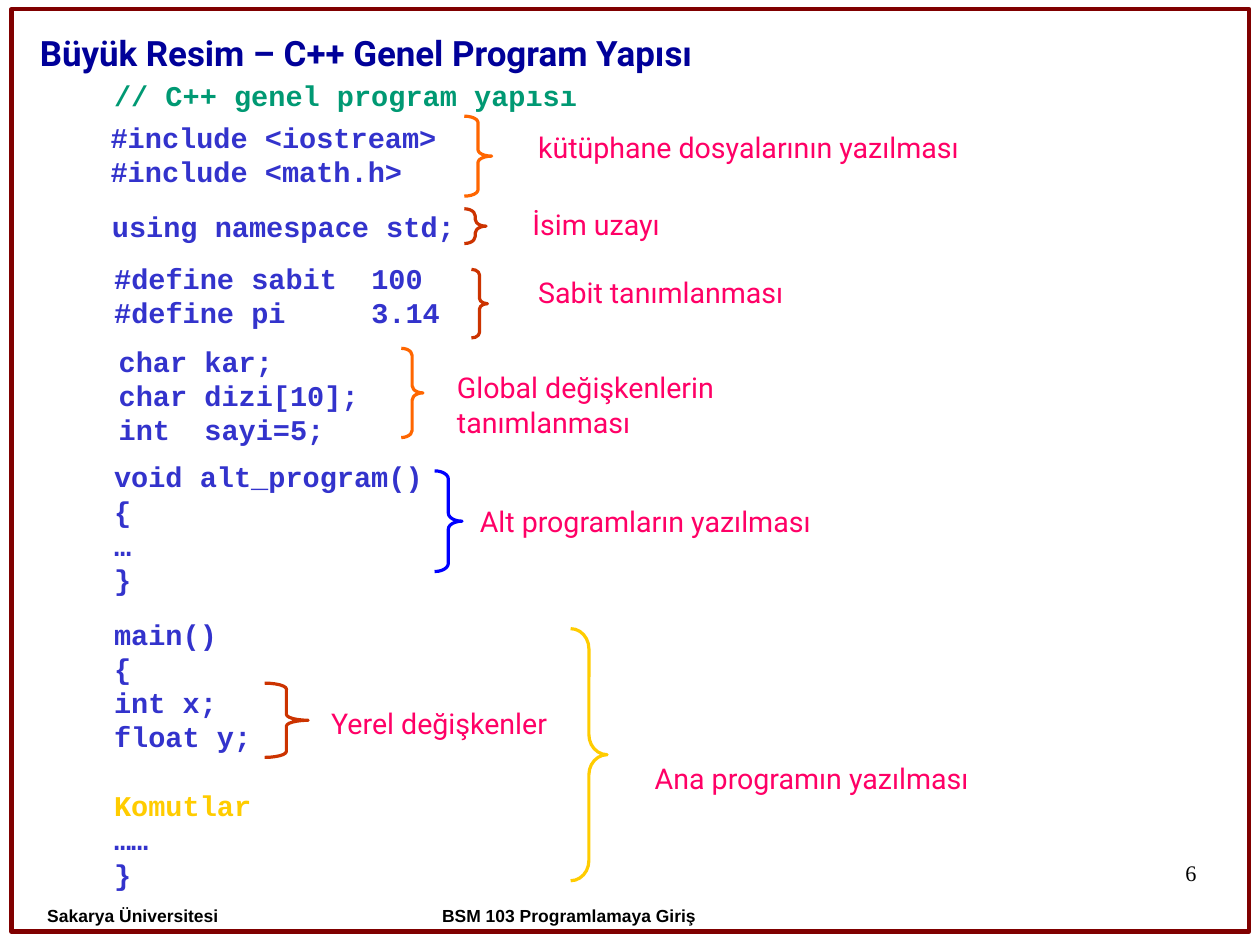
from pptx import Presentation
from pptx import util as u
from pptx.dml.color import RGBColor
from pptx.enum import shapes, text

COLORS = {
    "frame": "800000", "title": "000099", "black": "000000", "code": "3333CC",
    "comment": "009973", "label": "FF0066", "orange": "FF6600",
    "red": "CC3300", "blue": "0000FF", "yellow": "FFCC00",
}
LINE_PITCH = 21.6

# left, top, width, code
CODE_BLOCKS = [
    (62.6, 72, 229.7, "#include <iostream>\n#include <math.h>"),
    (63.4, 128.2, 251.3, "using namespace std;"),
    (64.8, 160.6, 251.3, "#define sabit  100\n#define pi     3.14"),
    (67.7, 213, 180, "char kar;\nchar dizi[10];\nint  sayi=5;"),
    (64.8, 285.8, 216, "void alt_program()\n{\n…\n}"),
]

# left, top, width, height, label
LABELS = [
    (331.9, 78.5, 385.9, 28.8, "kütüphane dosyalarının yazılması"),
    (328.3, 126.7, 244.8, 28.8, "İsim uzayı"),
    (331.9, 169.9, 244.8, 28.8, "Sabit tanımlanması"),
    (280.8, 229.7, 288.7, 50.4, "Global değişkenlerin tanımlanması"),
    (295.2, 313.9, 254.9, 28.8, "Alt programların yazılması"),
    (201.6, 441.4, 155.5, 50.4, "Yerel değişkenler"),
    (405.4, 475.7, 254.9, 28.8, "Ana programın yazılması"),
]

# left, top, width, height, colour, curl as a share of the height
BRACES = [
    (292.5, 73.2, 17.3, 50.4, "orange", 0.08),
    (292.5, 131.5, 13.7, 21.9, "red", 0.2),
    (297, 169.7, 10.1, 43.2, "red", 0.08),
    (252.8, 219.4, 13.7, 56.2, "orange", 0.08),
    (273.8, 296.6, 17.3, 63.4, "blue", 0.08),
    (166.7, 430.3, 27.4, 46.8, "red", 0.08),
    (359.5, 396, 23, 158.8, "yellow", 0.08),
]


def rgb(color):
    return RGBColor.from_string(COLORS[color])


def add_text(slide, box, content, font, size, color, bold=False,
             align=text.PP_ALIGN.LEFT, spacing=1.0, insets=(7.2, 3.6),
             anchor=text.MSO_ANCHOR.TOP):
    """Add a text box with one paragraph per line and return its paragraphs."""
    frame = slide.shapes.add_textbox(*map(u.Pt, box)).text_frame
    frame.word_wrap = True
    frame.vertical_anchor = anchor
    frame.margin_left = frame.margin_right = u.Pt(insets[0])
    frame.margin_top = frame.margin_bottom = u.Pt(insets[1])
    frame.text = content
    for paragraph in frame.paragraphs:
        paragraph.alignment = align
        paragraph.line_spacing = spacing
        for run in paragraph.runs:
            run.font.name = font
            run.font.size = u.Pt(size)
            run.font.bold = bold
            run.font.color.rgb = rgb(color)
    return frame.paragraphs


def add_code(slide, left, top, width, content, color="code", blank_lines=0):
    """Add code in a box as high as its lines and the blank lines it will hold."""
    lines = content.count("\n") + 1 + blank_lines
    box = (left, top, width, lines * LINE_PITCH + 7.2)
    return add_text(slide, box, content, "Courier New", 18, color, bold=True,
                    spacing=u.Pt(LINE_PITCH))


def add_main_code(slide):
    code = "main()\n{\nint x;\nfloat y;\nKomutlar\n……\n}"
    paragraphs = add_code(slide, 64.8, 384.8, 216, code, blank_lines=1)
    commands = paragraphs[4]
    commands.space_before = u.Pt(LINE_PITCH)
    commands.runs[0].font.color.rgb = rgb("yellow")


def add_outline(slide, kind, box, color, weight):
    shape = slide.shapes.add_shape(kind, *map(u.Pt, box))
    shape.shadow.inherit = False
    shape.fill.background()
    shape.line.color.rgb = rgb(color)
    shape.line.width = u.Pt(weight)
    return shape


def add_brace(slide, left, top, width, height, color, curl):
    brace = add_outline(slide, shapes.MSO_SHAPE.RIGHT_BRACE,
                        (left, top, width, height), color, 2)
    brace.adjustments[0] = curl * height / min(width, height)


def add_footer(slide, box, content, align):
    add_text(slide, box, content, "Arial", 11, "black", bold=True, align=align,
             spacing=0.93, insets=(15.8, 3.6), anchor=text.MSO_ANCHOR.MIDDLE)


def main():
    presentation = Presentation()
    presentation.slide_width = u.Pt(793.75)
    presentation.slide_height = u.Pt(595.25)
    slide = presentation.slides.add_slide(presentation.slide_layouts[6])

    add_outline(slide, shapes.MSO_SHAPE.RECTANGLE, (7.2, 5.8, 779.8, 581),
                "frame", 2.83)
    add_text(slide, (568.8, 542.2, 185, 41), "6", "Times New Roman", 14, "black",
             align=text.PP_ALIGN.RIGHT, spacing=0.95, insets=(0, 0))
    add_text(slide, (18, 15.1, 630, 47.5), "Büyük Resim – C++ Genel Program Yapısı",
             "Roboto", 22, "title", bold=True, spacing=1.04)
    add_footer(slide, (14, 558.7, 169.9, 36.7), "Sakarya Üniversitesi",
               text.PP_ALIGN.LEFT)
    add_footer(slide, (223.9, 558.7, 269.3, 36.7), "BSM 103 Programlamaya Giriş",
               text.PP_ALIGN.CENTER)

    add_code(slide, 64.8, 45.4, 319, "// C++ genel program yapısı", "comment")
    for block in CODE_BLOCKS:
        add_code(slide, *block)
    add_main_code(slide)
    for *box, label in LABELS:
        add_text(slide, box, label, "Roboto", 18, "label")
    for brace in BRACES:
        add_brace(slide, *brace)

    presentation.save("out.pptx")


if __name__ == "__main__":
    main()
